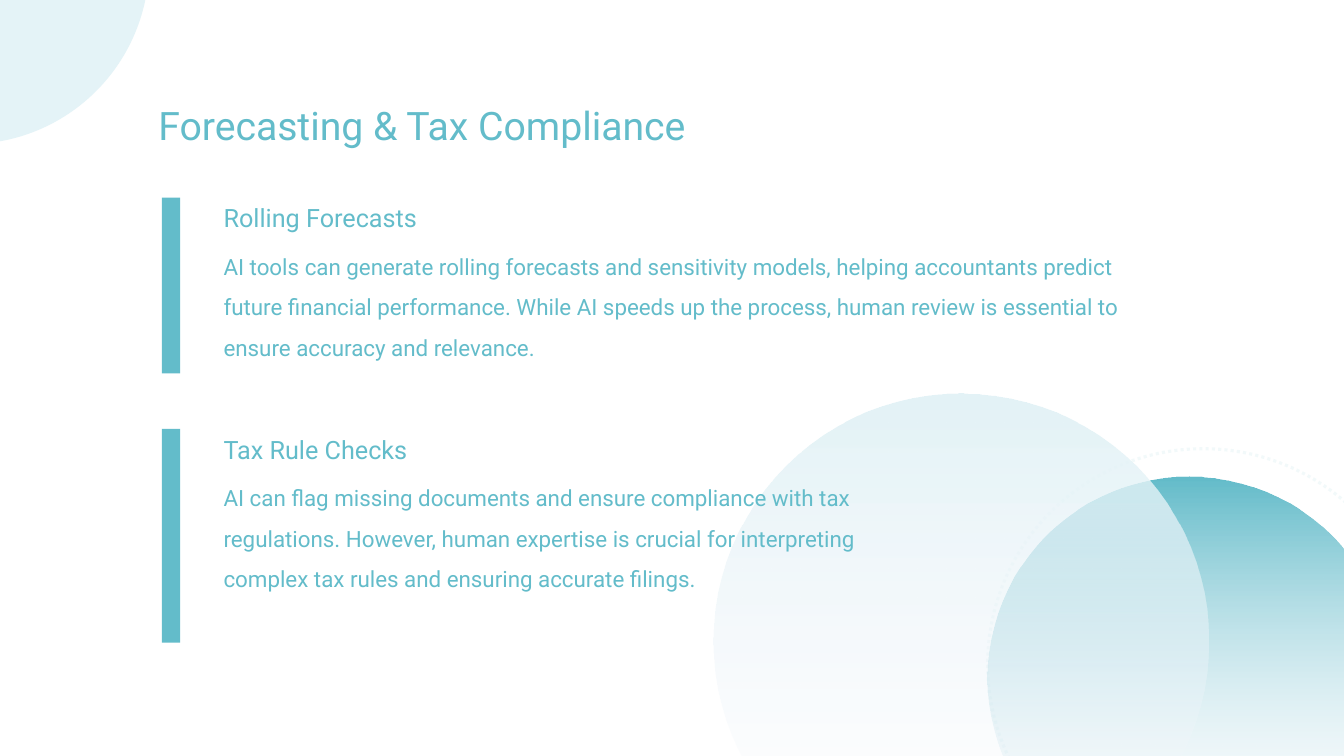
from pptx import Presentation
from pptx.dml.color import RGBColor as RGB
from pptx.enum.dml import MSO_LINE_DASH_STYLE as Dash
from pptx.enum.shapes import MSO_SHAPE as Kind
from pptx.oxml.ns import qn
from pptx.util import Pt
from lxml import etree

TEAL, PALE, MIST = "63BCCA", "E4F3F7", "F6F8FD"

deck = Presentation()
deck.slide_width, deck.slide_height = Pt(960), Pt(540)
slide = deck.slides.add_slide(deck.slide_layouts[6])


def draw(kind, left, top, wide, high, *tints):
    shape = slide.shapes.add_shape(kind, Pt(left), Pt(top), Pt(wide), Pt(high))
    shape.shadow.inherit = False
    shape.line.fill.background()
    if not tints:
        shape.fill.background()
    elif len(tints) == 1:
        shape.fill.solid()
        shape.fill.fore_color.rgb = RGB.from_string(tints[0])
    else:
        shape.fill.gradient()
        shape.fill.gradient_angle = 270
        for stop, tint, place in zip(shape.fill.gradient_stops, tints, (0, 1)):
            stop.color.rgb = RGB.from_string(tint)
            stop.position = place
        last = list(shape.element.iter(qn("a:srgbClr")))[-1]
        etree.SubElement(last, qn("a:alpha"), val="0")
    return shape


def write(text, left, top, wide, high, size, lead=None):
    frame = slide.shapes.add_textbox(Pt(left), Pt(top), Pt(wide), Pt(high)).text_frame
    frame.word_wrap = True
    frame.text = text
    para = frame.paragraphs[0]
    if lead:
        para.line_spacing = lead
    font = para.runs[0].font
    font.name, font.size = "Roboto", Pt(size)
    font.color.rgb = RGB.from_string(TEAL)


draw(Kind.OVAL, -152, -155.5, 258.5, 258.5, PALE)
write("Forecasting & Tax Compliance", 106, 68.5, 636, 36, 28)

ring = draw(Kind.OVAL, 705.5, 320.5, 308, 308)
ring.rotation = 264
ring.line.color.rgb = RGB.from_string(TEAL)
ring.line.width = Pt(2.25)
ring.line.dash_style = Dash.ROUND_DOT
ink = next(ring.element.iter(qn("a:srgbClr")))
etree.SubElement(ink, qn("a:alpha"), val="8000")

draw(Kind.OVAL, 705.5, 340.5, 288, 288, TEAL, MIST)
draw(Kind.OVAL, 509.5, 281, 353.5, 353.5, PALE, MIST)

topics = [
    ("Rolling Forecasts", 141.2, 125.6, 654.5,
     "AI tools can generate rolling forecasts and sensitivity models, helping "
     "accountants predict future financial performance. While AI speeds up the "
     "process, human review is essential to ensure accuracy and relevance."),
    ("Tax Rule Checks", 306.4, 152.6, 495.4,
     "AI can flag missing documents and ensure compliance with tax regulations. "
     "However, human expertise is crucial for interpreting complex tax rules and "
     "ensuring accurate filings."),
]
for head, top, high, wide, body in topics:
    draw(Kind.RECTANGLE, 115.7, top, 13, high, TEAL)
    write(head, 152.6, top, 400, 26.6, 18)
    write(body, 152.6, top + 26.6, wide, high - 26.6, 16, 1.5)

deck.save("out.pptx")
